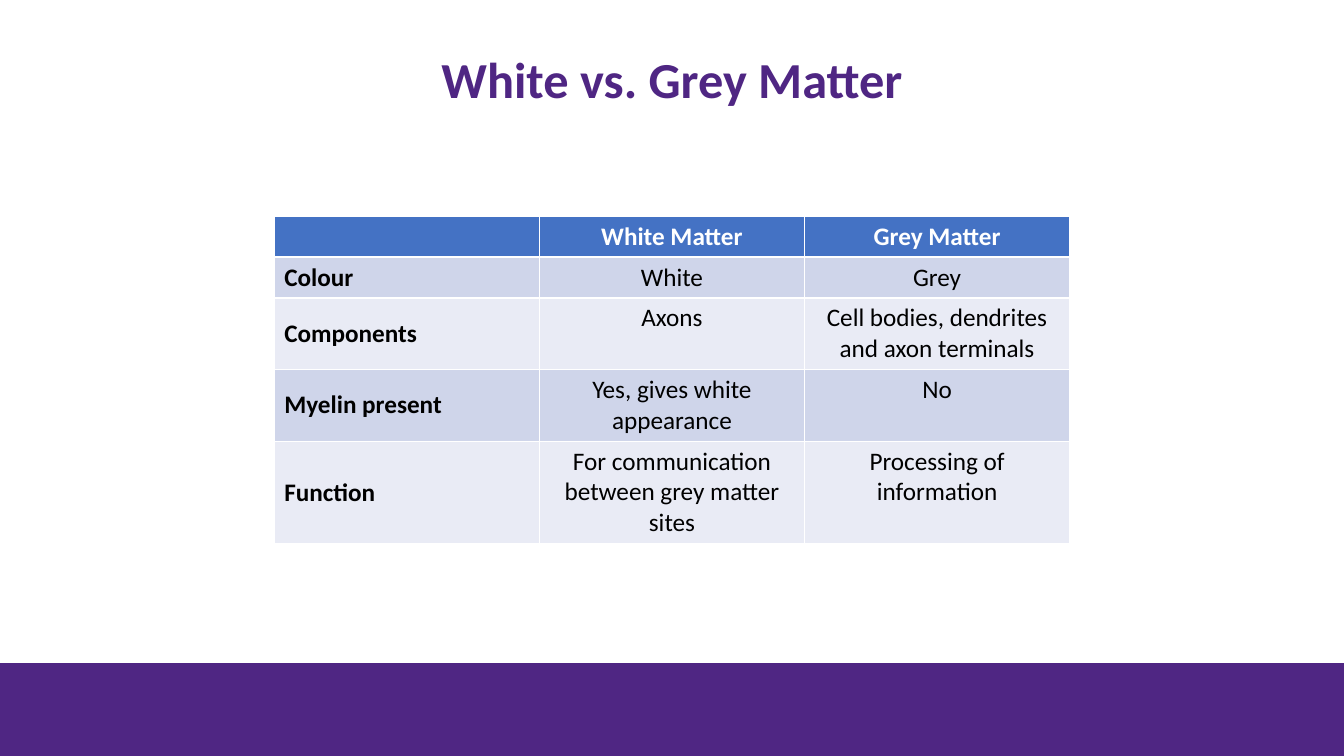
from dataclasses import dataclass

from pptx import Presentation
from pptx.dml.color import RGBColor
from pptx.enum import shapes, text
from pptx.util import Pt

TITLE = "White vs. Grey Matter"
HEADER = ("", "White Matter", "Grey Matter")
ROWS = [
    ("Colour", "White", "Grey"),
    ("Components", "Axons", "Cell bodies, dendrites and axon terminals"),
    ("Myelin present", "Yes, gives white appearance", "No"),
    ("Function", "For communication between grey matter sites", "Processing of information"),
]
LINES_PER_ROW = (1, 1, 2, 2, 3)


@dataclass(frozen=True)
class Theme:
    font: str = "Calibri"
    title_size: int = 36
    table_size: int = 18
    purple: str = "4F2683"
    header: str = "4472C4"
    bands: tuple = ("CFD5EA", "E9EBF5")
    light: str = "FFFFFF"
    dark: str = "000000"


THEME = Theme()
SLIDE_WIDTH, SLIDE_HEIGHT = 960, 540
FOOTER_HEIGHT = 66.4
TABLE_TOP, COLUMN_WIDTH = 154.4, 189.4
LINE_HEIGHT, CELL_PADDING = 21.9, 7.2


def fill(target, colour):
    target.fill.solid()
    target.fill.fore_color.rgb = RGBColor.from_string(colour)


def format_text(paragraph, size, colour, bold, alignment):
    paragraph.alignment = alignment
    paragraph.font.size = Pt(size)
    for run in paragraph.runs:
        run.font.name = THEME.font
        run.font.size = Pt(size)
        run.font.bold = bold
        run.font.color.rgb = RGBColor.from_string(colour)


def add_title(slide):
    title = slide.shapes.title
    title.left, title.top, title.width, title.height = Pt(66), Pt(16), Pt(828), Pt(85.6)
    frame = title.text_frame
    frame.text = TITLE
    frame.auto_size = text.MSO_AUTO_SIZE.NONE
    frame.vertical_anchor = text.MSO_ANCHOR.MIDDLE
    paragraph = frame.paragraphs[0]
    paragraph.line_spacing = 0.9
    format_text(paragraph, THEME.title_size, THEME.purple, True, text.PP_ALIGN.CENTER)


def add_footer(slide):
    footer = slide.shapes.add_shape(
        shapes.MSO_SHAPE.RECTANGLE, 0, Pt(SLIDE_HEIGHT - FOOTER_HEIGHT),
        Pt(SLIDE_WIDTH), Pt(FOOTER_HEIGHT))
    footer.shadow.inherit = False
    fill(footer, THEME.purple)
    footer.line.fill.background()


def add_comparison(slide):
    heights = [CELL_PADDING + LINE_HEIGHT * lines for lines in LINES_PER_ROW]
    width = COLUMN_WIDTH * len(HEADER)
    table = slide.shapes.add_table(
        len(heights), len(HEADER), Pt((SLIDE_WIDTH - width) / 2), Pt(TABLE_TOP),
        Pt(width), Pt(sum(heights))).table
    for column in table.columns:
        column.width = Pt(COLUMN_WIDTH)
    for row_index, values in enumerate([HEADER, *ROWS]):
        table.rows[row_index].height = Pt(heights[row_index])
        is_header = row_index == 0
        background = THEME.header if is_header else THEME.bands[(row_index - 1) % 2]
        for column_index, value in enumerate(values):
            is_label = column_index == 0 and not is_header
            cell = table.cell(row_index, column_index)
            cell.text_frame.text = value
            fill(cell, background)
            if is_label:
                cell.vertical_anchor = text.MSO_ANCHOR.MIDDLE
            format_text(
                cell.text_frame.paragraphs[0], THEME.table_size,
                THEME.light if is_header else THEME.dark, is_header or is_label,
                text.PP_ALIGN.LEFT if is_label else text.PP_ALIGN.CENTER)


def main():
    presentation = Presentation()
    presentation.slide_width, presentation.slide_height = Pt(SLIDE_WIDTH), Pt(SLIDE_HEIGHT)
    slide = presentation.slides.add_slide(presentation.slide_layouts[5])
    add_title(slide)
    add_footer(slide)
    add_comparison(slide)
    presentation.save("out.pptx")


if __name__ == "__main__":
    main()
